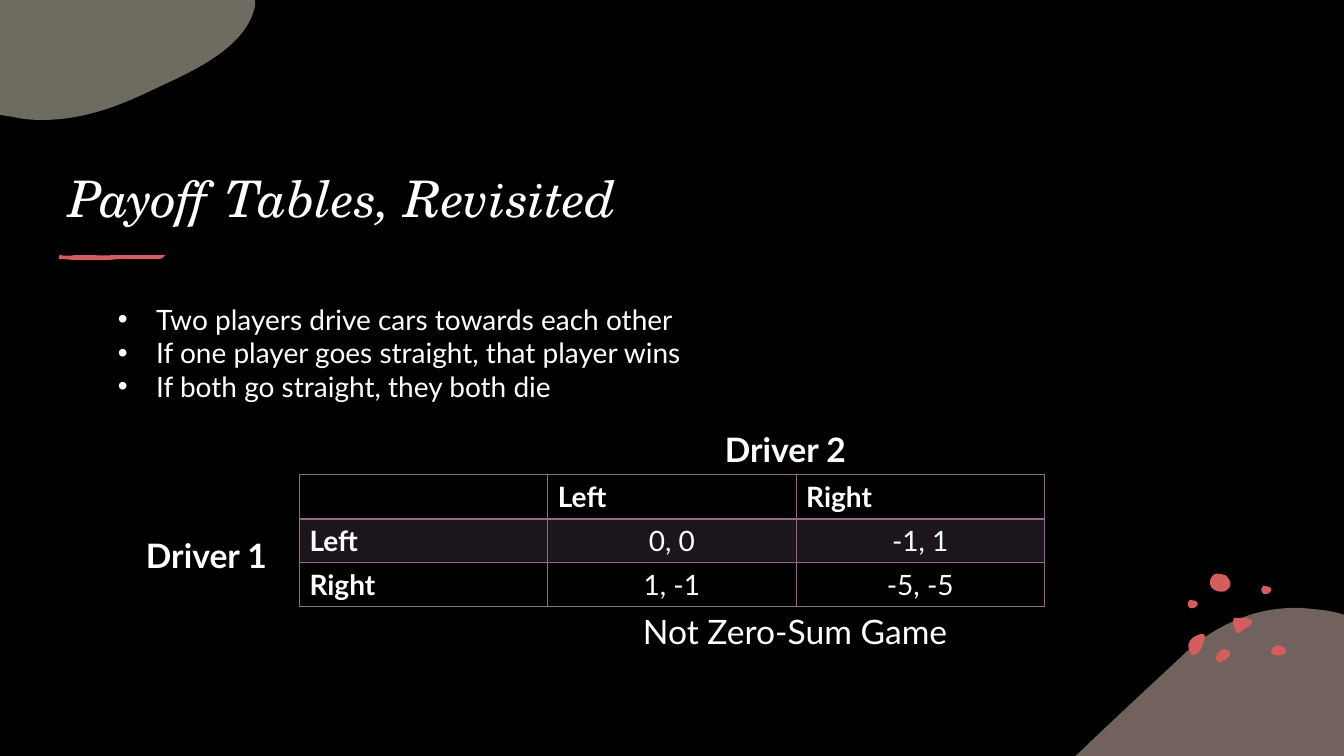
from lxml import etree
from pptx import Presentation
from pptx.dml.color import RGBColor
from pptx.enum import text as t
from pptx.oxml import ns
from pptx.util import Inches, Pt

COLORS = {"background": "000000", "text": "FFFFFF", "accent": "D45E5E",
          "olive": "DCD9C3", "blush": "E5C4BA", "plum": "8F6B8A"}
BODY_FONT, TITLE_FONT = "Lato", "TeX Gyre Schola"

OLIVE_BLOB = [(0, 0), (2.53, 0), (2.53, 0.06), (2.45, 0.44, 2, 0.67, 1.58, 0.86),
              (1.23, 1.03, 0.86, 1.19, 0.41, 1.19), (0.31, 1.19, 0.22, 1.18, 0.13, 1.16),
              (0, 1.14)]
BLUSH_HILL = [(12.88, 6.03), (13.01, 6.04, 13.14, 6.05, 13.27, 6.08), (13.33, 6.1),
              (13.33, 7.5), (10.67, 7.5), (10.68, 7.49),
              (11.02, 7.16, 11.37, 6.84, 11.69, 6.54),
              (11.91, 6.32, 12.14, 6.19, 12.37, 6.11),
              (12.54, 6.05, 12.71, 6.03, 12.88, 6.03)]
UNDERLINE = [
    [(0.59, 2.53), (0.64, 2.54, 0.7, 2.54, 0.75, 2.53), (0.88, 2.53),
     (0.94, 2.53, 1.06, 2.54, 1.11, 2.53), (1.64, 2.53),
     (1.61, 2.54, 1.63, 2.57, 1.57, 2.57), (1.18, 2.57), (1.07, 2.58),
     (0.75, 2.58), (0.71, 2.58, 0.65, 2.57, 0.61, 2.57),
     (0.57, 2.58, 0.58, 2.54, 0.59, 2.53)],
    [(0.58, 2.57), (0.59, 2.57, 0.59, 2.57, 0.6, 2.57), (0.59, 2.57, 0.59, 2.57, 0.58, 2.57)],
    [(0.6, 2.57), (0.61, 2.57), (0.6, 2.57)],
    [(1.64, 2.53), (1.63, 2.53), (1.64, 2.53)],
]
SPECKS = [
    [(12.13, 6.44), (12.15, 6.44, 12.16, 6.44, 12.18, 6.45),
     (12.2, 6.46, 12.21, 6.48, 12.2, 6.5), (12.18, 6.53, 12.12, 6.58, 12.08, 6.57),
     (12.07, 6.56, 12.06, 6.54, 12.06, 6.52), (12.06, 6.5, 12.08, 6.47, 12.1, 6.46),
     (12.11, 6.45, 12.12, 6.44, 12.13, 6.44)],
    [(11.91, 6.29), (11.93, 6.29, 11.95, 6.29, 11.95, 6.31),
     (11.95, 6.32, 11.95, 6.32, 11.95, 6.33), (11.94, 6.38, 11.92, 6.43, 11.89, 6.47),
     (11.87, 6.49, 11.84, 6.52, 11.82, 6.49), (11.79, 6.46, 11.78, 6.41, 11.79, 6.38),
     (11.8, 6.35, 11.82, 6.34, 11.84, 6.32), (11.85, 6.32, 11.88, 6.29, 11.91, 6.29)],
    [(12.69, 6.4), (12.71, 6.4, 12.74, 6.42, 12.75, 6.44),
     (12.76, 6.46, 12.76, 6.48, 12.73, 6.49), (12.7, 6.51, 12.62, 6.51, 12.61, 6.48),
     (12.6, 6.46, 12.61, 6.44, 12.62, 6.43), (12.64, 6.41, 12.66, 6.4, 12.69, 6.4)],
    [(12.01, 5.81), (12, 5.81, 11.99, 5.75, 12.02, 5.72),
     (12.04, 5.7, 12.04, 5.69, 12.07, 5.69), (12.1, 5.69, 12.14, 5.7, 12.16, 5.71),
     (12.18, 5.73, 12.22, 5.78, 12.2, 5.82), (12.17, 5.85, 12.16, 5.87, 12.12, 5.87),
     (12.09, 5.87, 12.04, 5.86, 12.03, 5.84), (12.01, 5.83, 12.01, 5.82, 12.01, 5.81)],
    [(12.28, 6.13), (12.34, 6.13, 12.45, 6.13, 12.41, 6.19),
     (12.41, 6.2, 12.4, 6.21, 12.39, 6.21), (12.36, 6.23, 12.33, 6.25, 12.3, 6.27),
     (12.29, 6.28, 12.28, 6.29, 12.27, 6.28), (12.27, 6.28, 12.26, 6.27, 12.26, 6.27),
     (12.24, 6.23, 12.23, 6.2, 12.23, 6.16), (12.23, 6.15, 12.23, 6.14, 12.24, 6.13),
     (12.24, 6.13, 12.25, 6.13, 12.25, 6.13), (12.26, 6.13, 12.27, 6.13, 12.28, 6.13)],
]
SMALL_SPECK = [(0, 0.05), (0, 0.05, 0, 0.01, 0.02, 0), (0.04, 0, 0.05, 0, 0.07, 0.01),
               (0.08, 0.01, 0.1, 0.02, 0.1, 0.04), (0.1, 0.05, 0.09, 0.07, 0.08, 0.07),
               (0.08, 0.07, 0.08, 0.08, 0.06, 0.08), (0.05, 0.08, 0.03, 0.09, 0.02, 0.08),
               (0.01, 0.06, 0, 0.06, 0, 0.05)]
SMALL_SPECK_CORNERS = [(12.51, 5.81), (11.78, 5.95)]

BULLETS = ["Two players drive cars towards each other",
           "If one player goes straight, that player wins",
           "If both go straight, they both die"]
PAYOFFS = [["", "Left", "Right"],
           ["Left", "0, 0", "-1, 1"],
           ["Right", "1, -1", "-5, -5"]]


def rgb(color):
    return RGBColor.from_string(COLORS[color])


def set_fill(fill, color, opacity=100):
    fill.solid()
    fill.fore_color.rgb = rgb(color)
    if opacity < 100:
        rgb_element = fill._xPr.find(ns.qn("a:solidFill")).find(ns.qn("a:srgbClr"))
        etree.SubElement(rgb_element, ns.qn("a:alpha"), val=str(opacity * 1000))


def bend_segments(blob, segments, dx, dy):
    lines = list(blob._element.iter(ns.qn("a:lnTo")))
    for line, segment in zip(lines, segments):
        if len(segment) == 2:
            continue
        curve = etree.Element(ns.qn("a:cubicBezTo"))
        for x, y in zip(segment[::2], segment[1::2]):
            etree.SubElement(curve, ns.qn("a:pt"), x=str(Inches(x + dx) - blob.left),
                             y=str(Inches(y + dy) - blob.top))
        line.getparent().replace(line, curve)


def add_blob(slide, outline, color, opacity=100, dx=0, dy=0):
    corners = [(Inches(p[-2] + dx), Inches(p[-1] + dy)) for p in outline]
    builder = slide.shapes.build_freeform(*corners[0], scale=1.0)
    builder.add_line_segments(corners[1:], close=True)
    blob = builder.convert_to_shape()
    bend_segments(blob, outline[1:], dx, dy)
    blob.shadow.inherit = False
    blob.line.fill.background()
    set_fill(blob.fill, color, opacity)


def style_runs(paragraph, size, font=BODY_FONT, bold=False, italic=False):
    for run in paragraph.runs:
        run.font.name, run.font.size = font, Pt(size)
        run.font.bold, run.font.italic = bold, italic
        run.font.color.rgb = rgb("text")


def add_text(slide, content, left, top, width, height, size, align=t.PP_ALIGN.LEFT, **style):
    box = slide.shapes.add_textbox(Inches(left), Inches(top), Inches(width), Inches(height))
    frame = box.text_frame
    frame.word_wrap = True
    frame.text = content
    for paragraph in frame.paragraphs:
        paragraph.alignment = align
        style_runs(paragraph, size, **style)
    return frame


def add_bullets(frame):
    for paragraph in frame.paragraphs:
        properties = paragraph._p.get_or_add_pPr()
        properties.set("marL", str(Inches(0.38)))
        properties.set("indent", str(-Inches(0.38)))
        etree.SubElement(properties, ns.qn("a:buFont"), typeface="Arial")
        etree.SubElement(properties, ns.qn("a:buChar"), char="•")


def add_border(cell, side, width):
    line = etree.SubElement(cell._tc.get_or_add_tcPr(), ns.qn("a:ln" + side),
                            w=str(Pt(width)))
    solid = etree.SubElement(line, ns.qn("a:solidFill"))
    etree.SubElement(solid, ns.qn("a:srgbClr"), val=COLORS["plum"])


def add_payoff_table(slide):
    table = slide.shapes.add_table(3, 3, Inches(2.97), Inches(4.71),
                                   Inches(7.39), Inches(1.31)).table
    table.first_row = table.horz_banding = False
    for r, row in enumerate(PAYOFFS):
        for c, content in enumerate(row):
            cell = table.cell(r, c)
            cell.text = content
            is_payoff = r > 0 and c > 0
            paragraph = cell.text_frame.paragraphs[0]
            paragraph.alignment = t.PP_ALIGN.CENTER if is_payoff else t.PP_ALIGN.LEFT
            style_runs(paragraph, 20, bold=not is_payoff)
            for side in "LRTB":
                under_header = (r, side) in [(0, "B"), (1, "T")]
                add_border(cell, side, 2 if under_header else 1)
            if r == 1:
                set_fill(cell.fill, "plum", 20)
            else:
                cell.fill.background()


def main():
    deck = Presentation()
    deck.slide_width, deck.slide_height = Inches(13.33), Inches(7.5)
    slide = deck.slides.add_slide(deck.slide_layouts[6])
    set_fill(slide.background.fill, "background")

    add_blob(slide, BLUSH_HILL, "blush", 50)
    for speck in SPECKS:
        add_blob(slide, speck, "accent")
    for dx, dy in SMALL_SPECK_CORNERS:
        add_blob(slide, SMALL_SPECK, "accent", dx=dx, dy=dy)
    add_blob(slide, OLIVE_BLOB, "olive", 50)
    for stroke in UNDERLINE:
        add_blob(slide, stroke, "accent")

    title = add_text(slide, "Payoff Tables, Revisited", 0.58, 0.86, 11.02, 1.45, 36,
                     font=TITLE_FONT, italic=True)
    title.vertical_anchor = t.MSO_ANCHOR.BOTTOM
    add_payoff_table(slide)
    add_text(slide, "Driver 1", 1.35, 5.26, 1.63, 0.5, 24, bold=True)
    add_text(slide, "Driver 2", 7.09, 4.21, 1.58, 0.5, 24, bold=True)
    add_text(slide, "Not Zero-Sum Game", 5.41, 6.01, 4.95, 0.5, 24, t.PP_ALIGN.CENTER)
    add_bullets(add_text(slide, "\n".join(BULLETS), 1.07, 2.95, 6.67, 1.11, 20))

    deck.save("out.pptx")


if __name__ == "__main__":
    main()
